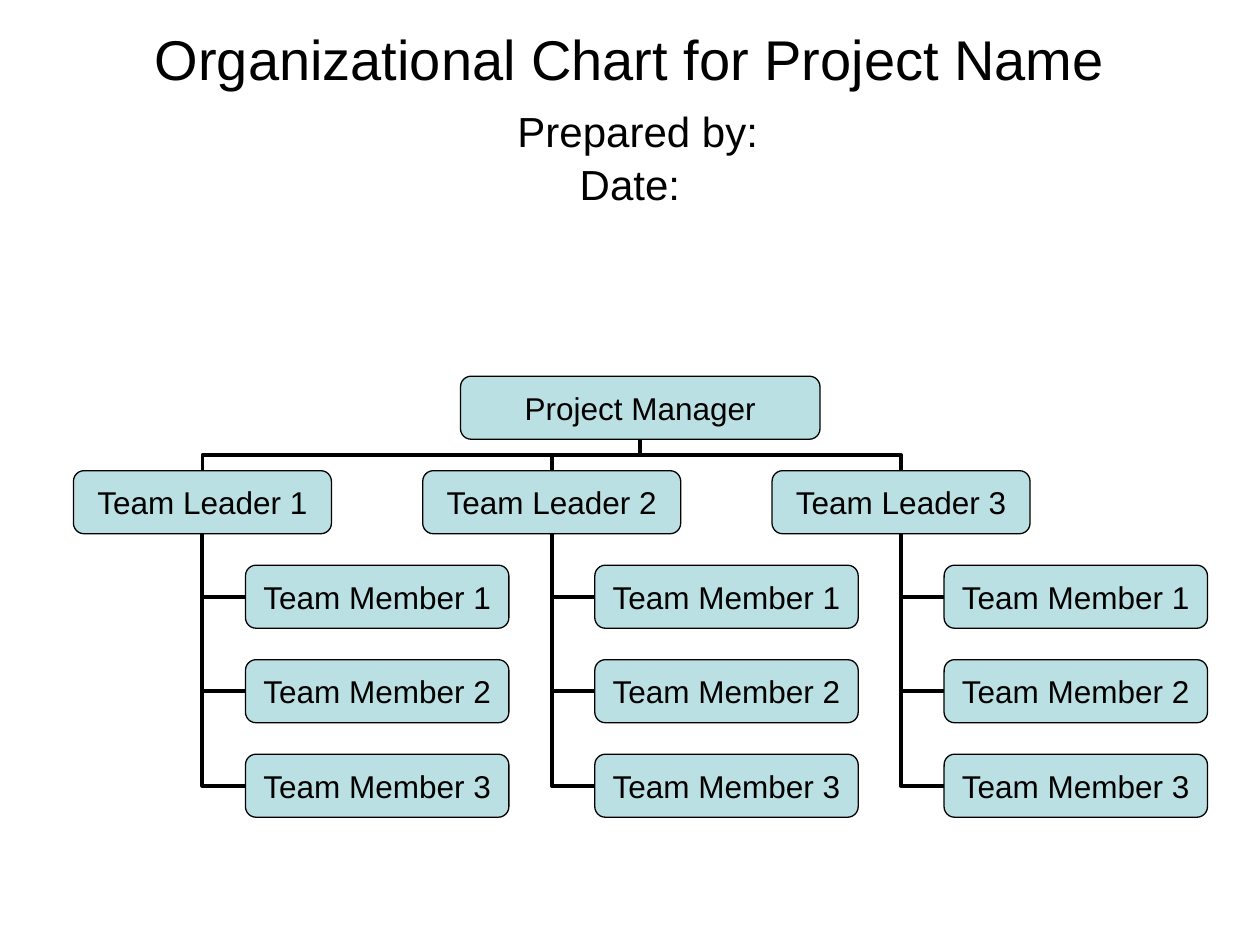
from lxml.etree import SubElement
from pptx import Presentation
from pptx.dml.color import RGBColor
from pptx.enum.shapes import MSO_CONNECTOR, MSO_SHAPE
from pptx.enum.text import MSO_ANCHOR, PP_ALIGN
from pptx.oxml.ns import qn
from pptx.util import Pt

BLACK = RGBColor(0x00, 0x00, 0x00)
PALE_TEAL = RGBColor(0xBB, 0xE0, 0xE3)
FONT = "Arial"

BOX_HEIGHT = 36
ROW_PITCH = 54
COLUMN_PITCH = 199.6
MANAGER_LEFT, MANAGER_TOP, MANAGER_WIDTH = 263.2, 215, 205.4
LEADER_LEFT, LEADER_WIDTH = 42, 147.4
MEMBER_LEFT, MEMBER_WIDTH = 140.3, 150.5
TEAMS = MEMBERS = 3
TOP_SITE, LEFT_SITE, BOTTOM_SITE = 0, 1, 2


def add_heading(slide, title, details):
    heading = slide.shapes.add_textbox(Pt(0), Pt(21.6), Pt(720), Pt(90)).text_frame
    heading.word_wrap = True
    heading.vertical_anchor = MSO_ANCHOR.MIDDLE
    lines = heading.paragraphs[0]
    lines.alignment = PP_ALIGN.CENTER
    lines.font.name = FONT
    lines.font.color.rgb = BLACK

    def add_words(words, size):
        run = lines.add_run()
        run.text = words
        run.font.size = Pt(size)

    def add_break(size):
        lines.add_line_break()
        line_break = lines._p.findall(qn("a:br"))[-1]
        SubElement(line_break, qn("a:rPr"), sz=str(size * 100))

    add_words(title, 32)
    add_break(32)
    add_words(" ", 32)
    add_words(details[0], 24)
    for detail in details[1:]:
        add_break(24)
        add_words(detail, 24)


def add_role(slide, role, left, row, width):
    top = MANAGER_TOP + row * ROW_PITCH
    box = slide.shapes.add_shape(
        MSO_SHAPE.ROUNDED_RECTANGLE, Pt(left), Pt(top), Pt(width), Pt(BOX_HEIGHT)
    )
    box.shadow.inherit = False
    box.fill.solid()
    box.fill.fore_color.rgb = PALE_TEAL
    box.line.color.rgb = BLACK
    box.line.width = Pt(0.75)
    label = box.text_frame
    label.word_wrap = False
    label.vertical_anchor = MSO_ANCHOR.MIDDLE
    name = label.paragraphs[0]
    name.text = role
    name.alignment = PP_ALIGN.CENTER
    name.font.name = FONT
    name.font.size = Pt(18)
    name.font.color.rgb = BLACK
    return box


def add_elbow(slide, child, child_site, parent):
    elbow = slide.shapes.add_connector(MSO_CONNECTOR.ELBOW, 0, 0, 0, 0)
    elbow.begin_connect(child, child_site)
    elbow.end_connect(parent, BOTTOM_SITE)
    elbow.line.color.rgb = BLACK
    elbow.line.width = Pt(2.25)
    SubElement(elbow._element.spPr, qn("a:effectLst"))
    return elbow


def join_leader(slide, leader, manager):
    elbow = add_elbow(slide, leader, TOP_SITE, manager)
    across, down = elbow.width, elbow.height
    center_x, center_y = elbow.left + across // 2, elbow.top + down // 2
    leader_on_left = elbow.begin_x < elbow.end_x
    elbow.left, elbow.top = center_x - down // 2, center_y - across // 2
    elbow.width, elbow.height = down, across
    frame = elbow._element.spPr.xfrm
    frame.rot = 90 if leader_on_left else 270
    frame.flipH = leader_on_left
    frame.flipV = True


def join_member(slide, member, leader):
    elbow = add_elbow(slide, member, LEFT_SITE, leader)
    elbow._element.spPr.find(qn("a:prstGeom")).set("prst", "bentConnector2")
    frame = elbow._element.spPr.xfrm
    frame.rot = 180
    frame.flipH = frame.flipV = False


def add_team(slide, manager, team):
    offset = team * COLUMN_PITCH
    leader = add_role(
        slide, f"Team Leader {team + 1}", LEADER_LEFT + offset, 1, LEADER_WIDTH
    )
    join_leader(slide, leader, manager)
    for number in range(1, MEMBERS + 1):
        member = add_role(
            slide, f"Team Member {number}", MEMBER_LEFT + offset, number + 1, MEMBER_WIDTH
        )
        join_member(slide, member, leader)


def main():
    presentation = Presentation()
    presentation.slide_width, presentation.slide_height = Pt(720), Pt(540)
    slide = presentation.slides.add_slide(presentation.slide_layouts[6])
    add_heading(
        slide, "Organizational Chart for Project Name", ["Prepared by:", "Date:"]
    )
    manager = add_role(slide, "Project Manager", MANAGER_LEFT, 0, MANAGER_WIDTH)
    for team in range(TEAMS):
        add_team(slide, manager, team)
    presentation.save("out.pptx")


if __name__ == "__main__":
    main()
